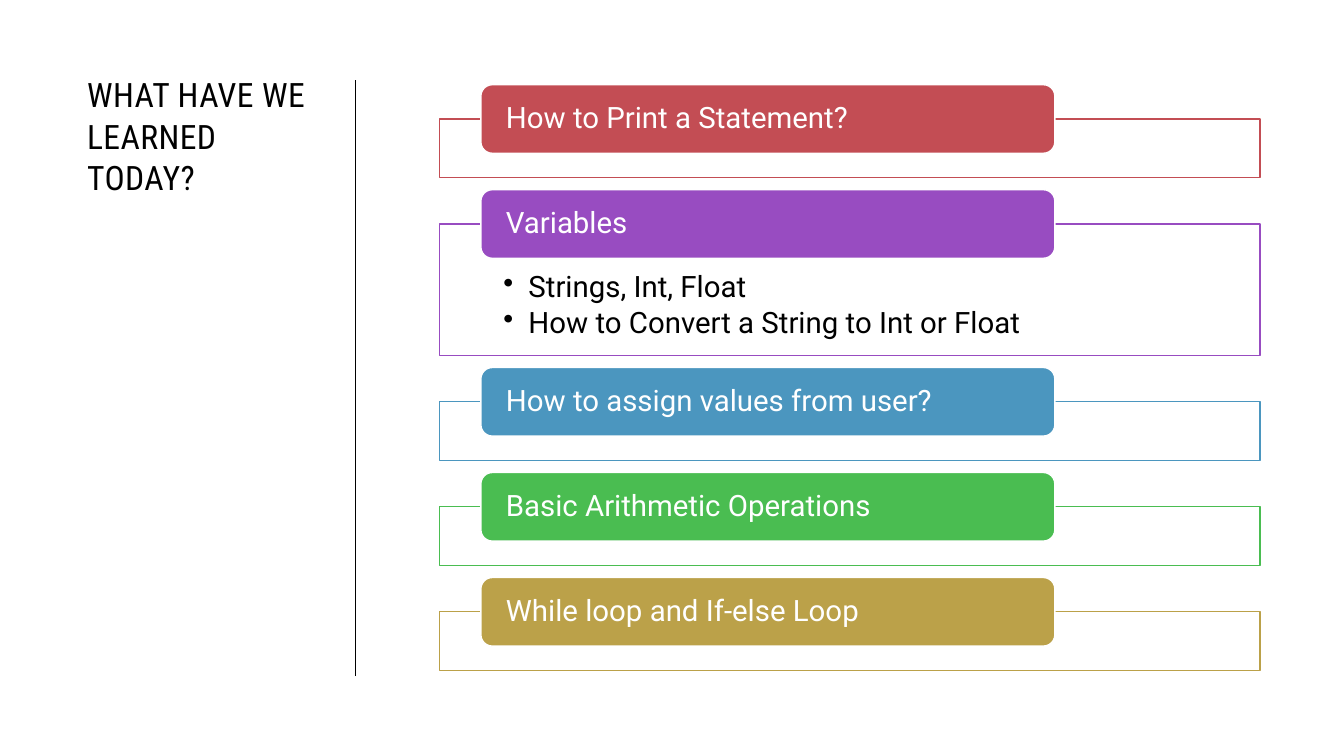
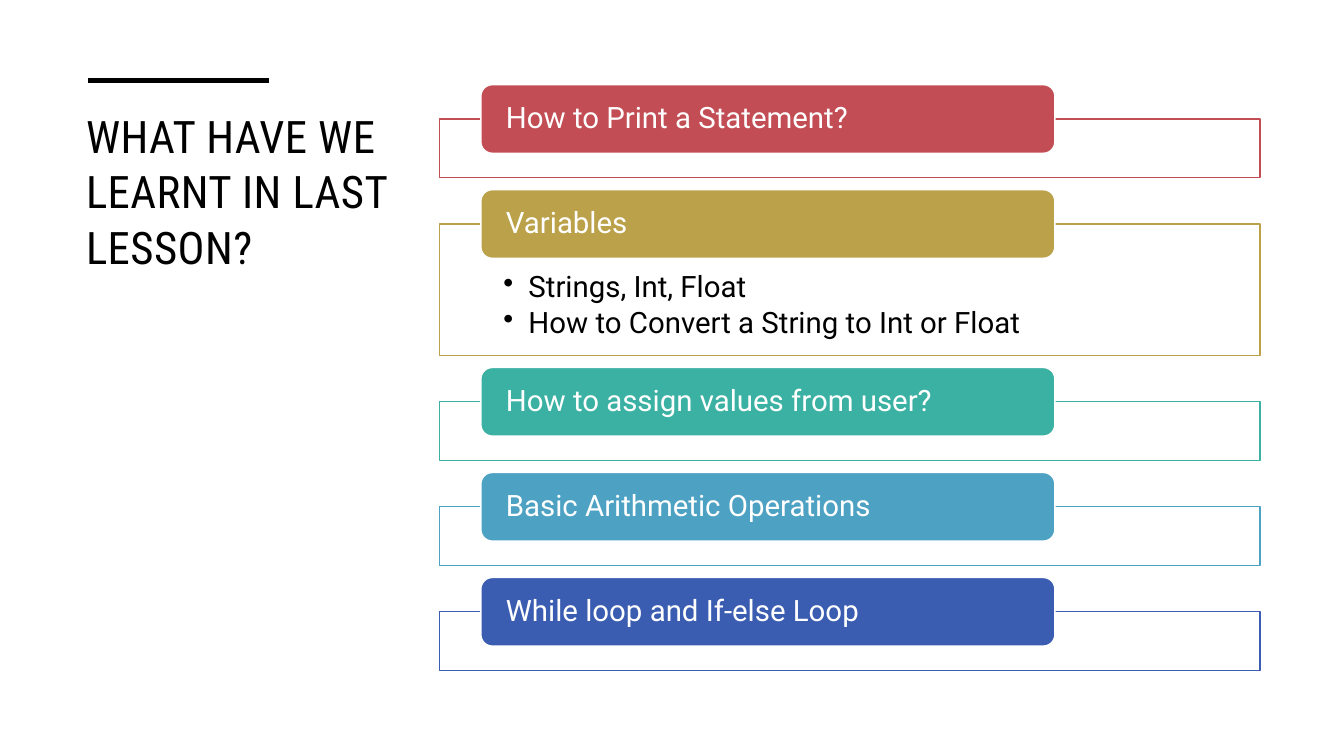
from lxml import etree
from pptx import Presentation
from pptx import util as u
from pptx.dml import color
from pptx.enum import shapes, text
from pptx.oxml import ns

COLORS = {
    "black": "000000", "white": "FFFFFF", "red": "C34D54", "purple": "984CC1",
    "blue": "4B96BF", "green": "4ABD51", "gold": "BBA149", "teal": "3BB1A3",
    "sky": "4DA1C3", "navy": "3B5DB1",
}
TOPICS = [
    ("How to Print a Statement?", []),
    ("Variables", ["Strings, Int, Float", "How to Convert a String to Int or Float"]),
    ("How to assign values from user?", []),
    ("Basic Arithmetic Operations", []),
    ("While loop and If-else Loop", []),
]


def rgb(name):
    return color.RGBColor.from_string(COLORS[name])


class Deck:
    TITLE_FONT, BODY_FONT, BODY_SIZE = "Roboto Condensed", "Roboto", 21
    LIST_TOP, PANEL_LEFT, PANEL_WIDTH = 60.5, 314, 586
    HEADER_LEFT, HEADER_WIDTH, HEADER_HEIGHT = 343.5, 410, 49
    PANEL_HEIGHT, BULLETS_PANEL_HEIGHT, GAP = 42, 94, 8.5

    def __init__(self):
        self.presentation = Presentation()
        self.presentation.slide_width = u.Pt(960)
        self.presentation.slide_height = u.Pt(540)
        self.slide = None

    def add_slide(self):
        self.slide = self.presentation.slides.add_slide(self.presentation.slide_layouts[5])

    def format_runs(self, paragraph, font, size, color_name):
        for run in paragraph.runs:
            run.font.name = font
            run.font.size = u.Pt(size)
            run.font.color.rgb = rgb(color_name)

    def title(self, words, left, top, width, height, size):
        shape = self.slide.shapes.title
        shape.left, shape.top = u.Pt(left), u.Pt(top)
        shape.width, shape.height = u.Pt(width), u.Pt(height)
        frame = shape.text_frame
        frame.text = words
        frame.word_wrap = True
        frame.auto_size = text.MSO_AUTO_SIZE.NONE
        frame.vertical_anchor = text.MSO_ANCHOR.TOP
        paragraph = frame.paragraphs[0]
        paragraph.alignment = text.PP_ALIGN.LEFT
        paragraph.line_spacing = 1.03
        self.format_runs(paragraph, self.TITLE_FONT, size, "black")
        for run in paragraph.runs:
            run.font._element.set("spc", "30")

    def rule(self, x1, y1, x2, y2, weight):
        line = self.slide.shapes.add_connector(
            shapes.MSO_CONNECTOR.STRAIGHT, u.Pt(x1), u.Pt(y1), u.Pt(x2), u.Pt(y2))
        line.line.color.rgb = rgb("black")
        line.line.width = u.Pt(weight)
        etree.SubElement(line._element.spPr, ns.qn("a:effectLst"))

    def box(self, kind, left, top, width, height, fill, outline):
        shape = self.slide.shapes.add_shape(
            kind, u.Pt(left), u.Pt(top), u.Pt(width), u.Pt(height))
        shape.shadow.inherit = False
        shape.fill.solid()
        shape.fill.fore_color.rgb = rgb(fill)
        shape.line.color.rgb = rgb(outline)
        shape.line.width = u.Pt(1)
        return shape

    def fill_text(self, shape, lines, color_name, anchor, margins, bullets=False):
        """Fill a shape with left-aligned lines; margins are left, top, right, bottom."""
        frame = shape.text_frame
        frame.word_wrap = True
        frame.vertical_anchor = anchor
        (frame.margin_left, frame.margin_top,
         frame.margin_right, frame.margin_bottom) = map(u.Pt, margins)
        frame.text = "\n".join(lines)
        for paragraph in frame.paragraphs:
            paragraph.alignment = text.PP_ALIGN.LEFT
            paragraph.line_spacing = 0.9
            self.format_runs(paragraph, self.BODY_FONT, self.BODY_SIZE, color_name)
            if bullets:
                paragraph.space_after = u.Pt(3.25)
                properties = paragraph._p.get_or_add_pPr()
                properties.set("marL", str(u.Pt(18)))
                properties.set("indent", str(-u.Pt(18)))
                etree.SubElement(properties, ns.qn("a:buChar"), char="•")

    def topic(self, top, heading, points, color_name):
        """Draw a panel with its overlapping header and return the next top."""
        panel_top = top + self.HEADER_HEIGHT / 2
        height = self.BULLETS_PANEL_HEIGHT if points else self.PANEL_HEIGHT
        panel = self.box(shapes.MSO_SHAPE.RECTANGLE, self.PANEL_LEFT, panel_top,
                         self.PANEL_WIDTH, height, "white", color_name)
        if points:
            self.fill_text(panel, points, "black", text.MSO_ANCHOR.TOP,
                           (45.5, 34.5, 45.5, 11.5), bullets=True)
        header = self.box(shapes.MSO_SHAPE.ROUNDED_RECTANGLE, self.HEADER_LEFT, top,
                          self.HEADER_WIDTH, self.HEADER_HEIGHT, color_name, "white")
        self.fill_text(header, [heading], "white", text.MSO_ANCHOR.MIDDLE, (15.5, 0, 15.5, 0))
        return panel_top + height + self.GAP

    def topics(self, color_names):
        top = self.LIST_TOP
        for (heading, points), color_name in zip(TOPICS, color_names):
            top = self.topic(top, heading, points, color_name)


def main():
    deck = Deck()

    deck.add_slide()
    deck.title("WHAT HAVE WE LEARNED TODAY?", 55, 48.5, 171, 353.5, 24)
    deck.rule(254, 483, 254, 57, 1)
    deck.topics(["red", "purple", "blue", "green", "gold"])

    deck.add_slide()
    deck.title("WHAT HAVE WE LEARNT IN LAST LESSON?", 54.25, 73, 274, 301.5, 32)
    deck.rule(63, 57.5, 192, 57.5, 3.5)
    deck.topics(["red", "gold", "teal", "sky", "navy"])

    deck.presentation.save("out.pptx")


if __name__ == "__main__":
    main()
